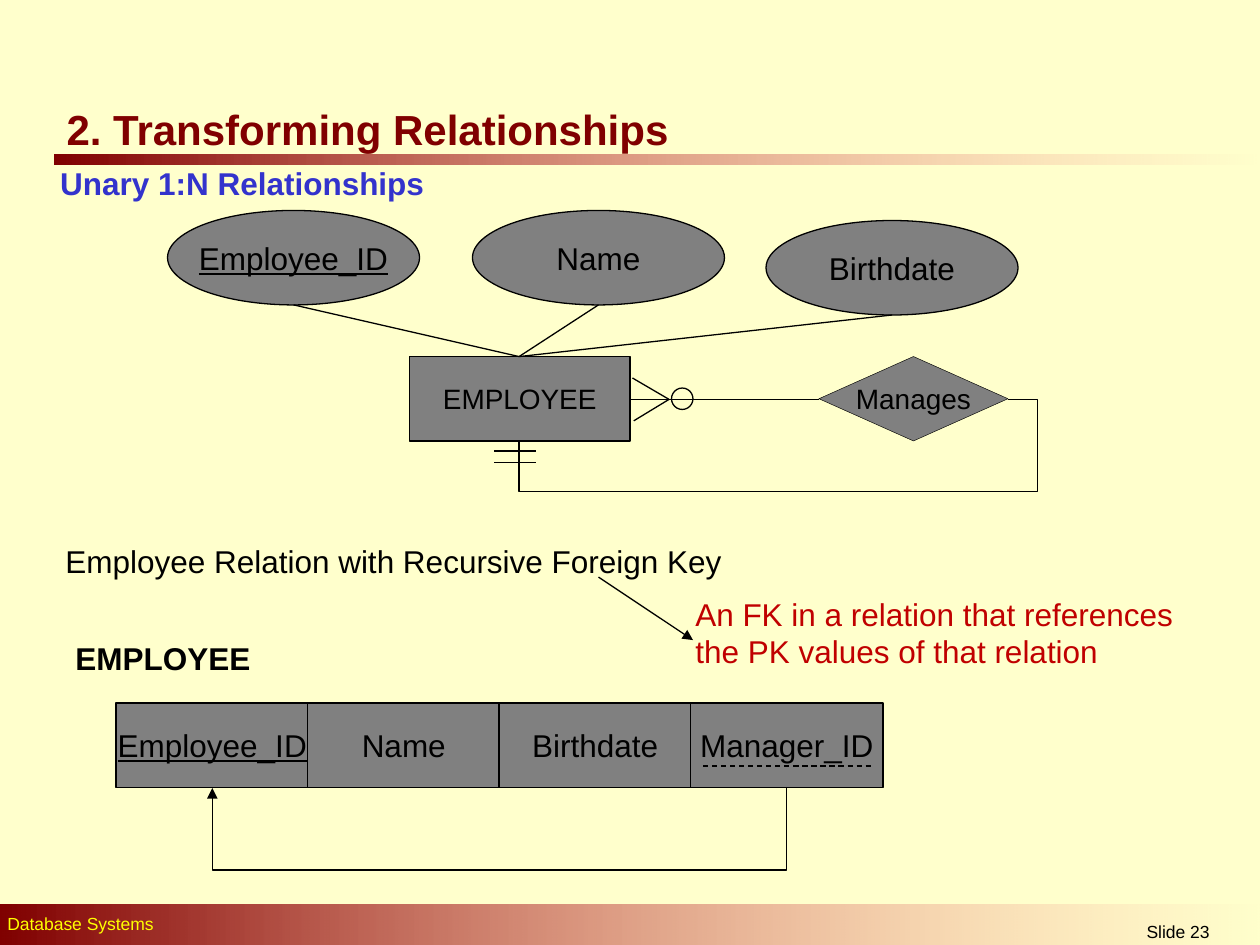
from dataclasses import dataclass

from pptx import Presentation
from pptx.dml.color import RGBColor
from pptx.enum.dml import MSO_LINE
from pptx.enum.shapes import MSO_CONNECTOR as LINK, MSO_SHAPE as SHAPE
from pptx.enum.text import MSO_ANCHOR as ANCHOR, PP_ALIGN as ALIGN
from pptx.oxml.ns import qn
from pptx.util import Inches, Pt
from lxml.etree import SubElement


@dataclass(frozen=True)
class Theme:
    font: str = "Arial"
    background: str = "FFFFCC"
    ink: str = "000000"
    node: str = "808080"
    heading: str = "800000"
    fade: str = "FF8585"
    subtitle: str = "3333CC"
    remark: str = "C00000"
    footer: str = "FFFF00"
    title_size: int = 24
    body_size: int = 18
    entity_size: int = 16
    footer_size: int = 10
    line_width: float = 0.75


def color(hex_code):
    return RGBColor.from_string(hex_code)


class Diagram:
    def __init__(self, slide, theme):
        self.slide, self.theme = slide, theme
        slide.background.fill.solid()
        slide.background.fill.fore_color.rgb = color(theme.background)

    def set_text(self, frame, words, size, ink, bold=False, underline=False, align=None):
        paragraph = frame.paragraphs[0]
        paragraph.text = words
        paragraph.alignment = align
        font = paragraph.font
        font.name, font.size, font.bold = self.theme.font, Pt(size), bold
        font.underline = underline
        font.color.rgb = color(ink)

    def text(self, box, words, size=None, ink=None, bold=False, align=None, anchor=ANCHOR.TOP):
        frame = self.slide.shapes.add_textbox(*map(Inches, box)).text_frame
        frame.word_wrap = True
        frame.vertical_anchor = anchor
        self.set_text(frame, words, size or self.theme.body_size, ink or self.theme.ink,
                      bold, align=align)

    def shape(self, kind, box):
        shape = self.slide.shapes.add_shape(kind, *map(Inches, box))
        shape.shadow.inherit = False
        return shape

    def band(self, box):
        """Bar that fades out towards the right."""
        bar = self.shape(SHAPE.RECTANGLE, box)
        bar.line.fill.background()
        bar.fill.gradient()
        bar.fill.gradient_angle = 0
        stops = bar.fill.gradient_stops
        for stop, position, hex_code in zip(stops, (0, 1), (self.theme.heading, self.theme.fade)):
            stop.position = position
            stop.color.rgb = color(hex_code)
        gradient = bar._element.spPr.find(qn("a:gradFill"))
        end_color = gradient.findall(".//" + qn("a:srgbClr"))[-1]
        SubElement(end_color, qn("a:alpha"), val="0")

    def outline(self, line, width=None):
        line.color.rgb = color(self.theme.ink)
        line.width = Pt(width or self.theme.line_width)

    def node(self, kind, box, words, size=None, underline=False, width=None):
        node = self.shape(kind, box)
        node.fill.solid()
        node.fill.fore_color.rgb = color(self.theme.node)
        self.outline(node.line, width)
        frame = node.text_frame
        frame.word_wrap = False
        frame.vertical_anchor = ANCHOR.MIDDLE
        self.set_text(frame, words, size or self.theme.body_size, self.theme.ink,
                      underline=underline, align=ALIGN.CENTER)

    def ring(self, box):
        ring = self.shape(SHAPE.OVAL, box)
        ring.fill.background()
        self.outline(ring.line)

    def link(self, start, end, arrow=False, dashed=False, kind=LINK.STRAIGHT):
        link = self.slide.shapes.add_connector(kind, *map(Inches, (*start, *end)))
        self.outline(link.line)
        if dashed:
            link.line.dash_style = MSO_LINE.DASH
        properties = link._element.spPr
        if arrow:
            SubElement(properties.find(qn("a:ln")), qn("a:tailEnd"), type="triangle")
        SubElement(properties, qn("a:effectLst"))
        return properties

    def elbow(self, start, end, preset, bends, quarter_turns=0, arrow=False):
        """Bent link; start and end are given before turning, bends as shares of the frame."""
        properties = self.link(start, end, arrow, kind=LINK.ELBOW)
        if quarter_turns:
            properties.find(qn("a:xfrm")).set("rot", str(quarter_turns * 90 * 60000))
        geometry = properties.find(qn("a:prstGeom"))
        geometry.set("prst", preset)
        guides = geometry.find(qn("a:avLst"))
        if guides is None:
            guides = SubElement(geometry, qn("a:avLst"))
        for number, bend in enumerate(bends, 1):
            SubElement(guides, qn("a:gd"), name=f"adj{number}",
                       fmla=f"val {round(bend * 100000)}")


def draw_frame(diagram, theme):
    diagram.band((0.43, 1.23, 9.57, 0.08))
    diagram.band((0, 7.18, 10.03, 0.35))
    diagram.text((-0.04, 7.2, 6.46, 0.27), "Database Systems", theme.footer_size, theme.footer)
    diagram.text((8.31, 7.26, 2.08, 0.24), "Slide 23", theme.footer_size, align=ALIGN.CENTER)
    diagram.text((0.43, 0.76, 5.11, 0.52), "2. Transforming Relationships",
                 theme.title_size, theme.heading, bold=True, anchor=ANCHOR.MIDDLE)
    diagram.text((0.38, 1.25, 3.83, 0.4), "Unary 1:N Relationships",
                 ink=theme.subtitle, bold=True)


def draw_entity(diagram, theme):
    entity_top = (4.12, 2.83)
    diagram.node(SHAPE.RECTANGLE, (3.25, 2.83, 1.75, 0.67), "EMPLOYEE", theme.entity_size)
    diagram.node(SHAPE.DIAMOND, (6.5, 2.83, 1.5, 0.67), "Manages", theme.entity_size, width=0.25)
    attributes = (("Employee_ID", 1.33, 1.67), ("Name", 3.75, 1.67), ("Birthdate", 6.08, 1.75))
    for name, left, top in attributes:
        diagram.node(SHAPE.OVAL, (left, top, 2, 0.75), name, underline=name == "Employee_ID")
        diagram.link(entity_top, (left + 1, top + 0.75))

    diagram.link((5, 3.17), (6.5, 3.17))
    for toe in ((5.03, 3.34), (5.02, 3)):
        diagram.link((5.31, 3.17), toe)
    diagram.ring((5.33, 3.08, 0.17, 0.17))
    diagram.elbow((8, 3.17), (4.12, 3.5), "bentConnector4", (-0.06, 2.21))
    for bar_y in (3.58, 3.67):
        diagram.link((4.25, bar_y), (3.92, bar_y))


def draw_relation(diagram, theme):
    diagram.text((0.42, 4.25, 6, 0.4), "Employee Relation with Recursive Foreign Key")
    diagram.text((5.42, 4.67, 4.33, 0.7),
                 "An FK in a relation that references the PK values of that relation",
                 ink=theme.remark)
    diagram.link((4.75, 4.58), (5.5, 5.08), arrow=True)
    diagram.text((0.5, 5.02, 2.42, 0.4), "EMPLOYEE", bold=True)

    for column, name in enumerate(("Employee_ID", "Name", "Birthdate", "Manager_ID")):
        diagram.node(SHAPE.RECTANGLE, (0.92 + 1.52 * column, 5.58, 1.53, 0.67), name,
                     underline=column == 0)
    diagram.link((5.58, 6.08), (6.92, 6.08), dashed=True)
    # Foreign key back to the primary key: a thin upright frame turned onto its side
    diagram.elbow((3.96, 3.97), (3.97, 8.53), "bentConnector3", (67,),
                  quarter_turns=1, arrow=True)


def main():
    theme = Theme()
    deck = Presentation()
    deck.slide_width, deck.slide_height = Inches(10), Inches(7.5)
    diagram = Diagram(deck.slides.add_slide(deck.slide_layouts[6]), theme)
    draw_frame(diagram, theme)
    draw_entity(diagram, theme)
    draw_relation(diagram, theme)
    deck.save("out.pptx")


if __name__ == "__main__":
    main()
